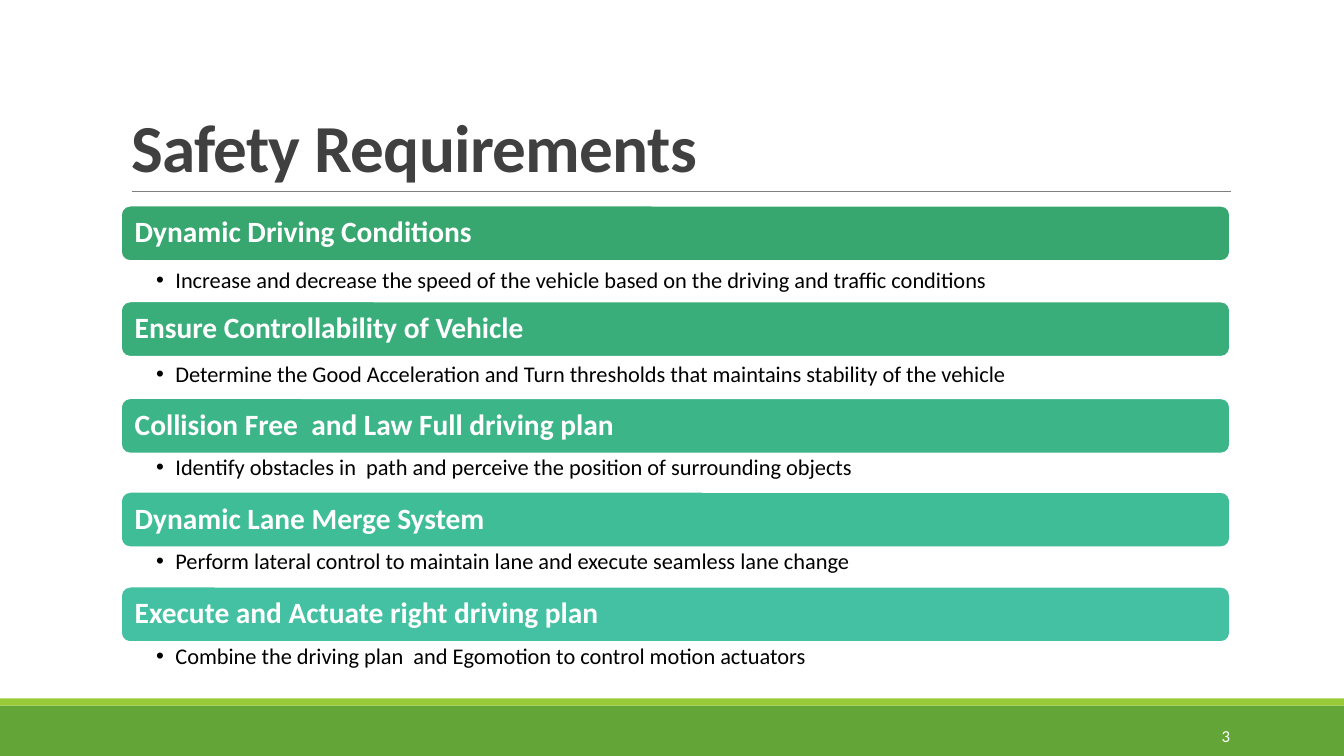
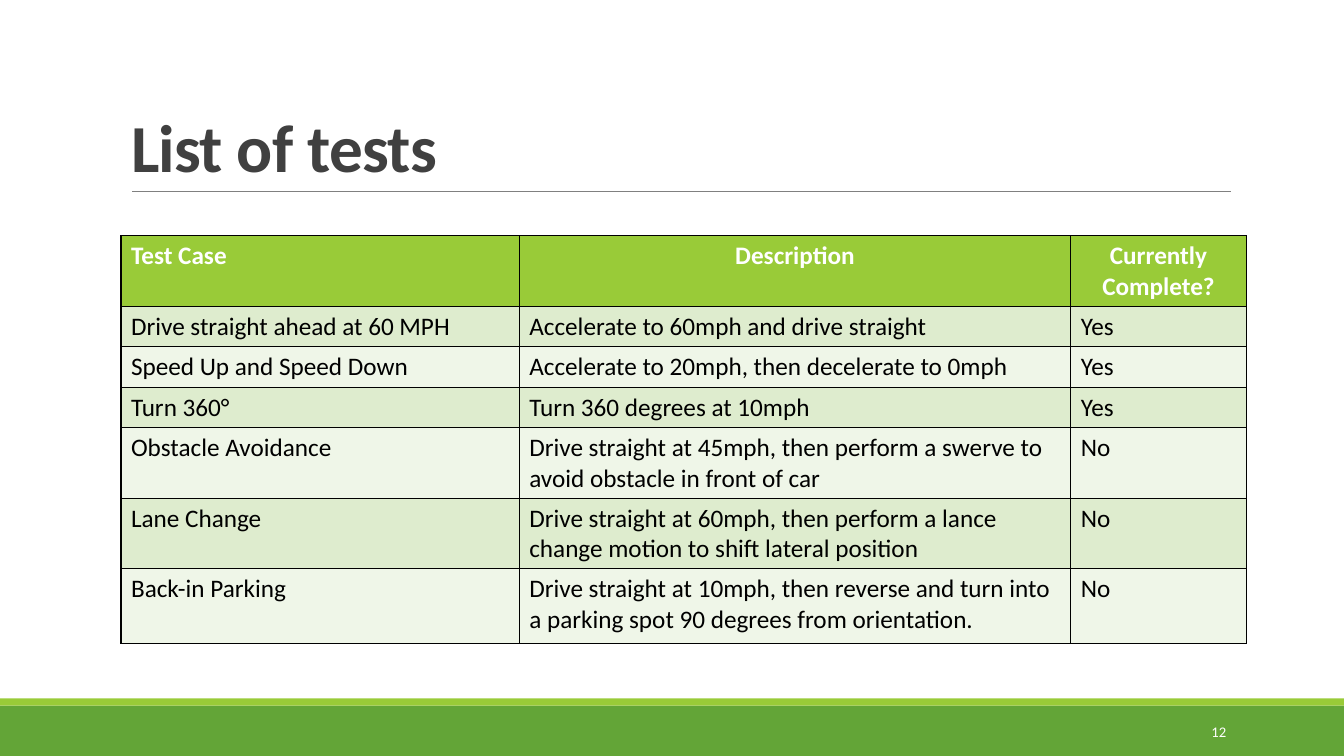
"""Build two slides on vehicle safety requirements and their tests."""
from lxml.etree import SubElement as Sub
from pptx import Presentation
from pptx.dml.color import RGBColor
from pptx.enum.shapes import MSO_CONNECTOR as Conn, MSO_SHAPE as Kind
from pptx.enum.text import MSO_ANCHOR as Anchor, MSO_AUTO_SIZE as Fit, PP_ALIGN as Align
from pptx.oxml import parse_xml
from pptx.oxml.ns import nsdecls, qn
from pptx.util import Inches, Pt

WIDE, HIGH = 13.33, 7.5
LEFT, SPAN = 1.2, 11
BANDS = [(7, 0.5, "63A537"), (6.93, 0.07, "99CB38")]
NEEDS = [
    (2.04, 2.64, "37A76F", "Dynamic Driving Conditions",
     "Increase and decrease the speed of the vehicle based on the driving and traffic conditions"),
    (2.99, 3.57, "39AE7B", "Ensure Controllability of Vehicle",
     "Determine the Good Acceleration and Turn thresholds that maintains stability of the vehicle"),
    (3.95, 4.5, "3CB689", "Collision Free  and Law Full driving plan",
     "Identify obstacles in  path and perceive the position of surrounding objects"),
    (4.88, 5.43, "3EBD96", "Dynamic Lane Merge System",
     "Perform lateral control to maintain lane and execute seamless lane change"),
    (5.82, 6.37, "44C1A3", "Execute and Actuate right driving plan",
     "Combine the driving plan  and Egomotion to control motion actuators"),
]
TESTS = [
    ("Test Case", "Description", "Currently Complete?"),
    ("Drive straight ahead at 60 MPH", "Accelerate to 60mph and drive straight", "Yes"),
    ("Speed Up and Speed Down", "Accelerate to 20mph, then decelerate to 0mph", "Yes"),
    ("Turn 360°", "Turn 360 degrees at 10mph", "Yes"),
    ("Obstacle Avoidance",
     "Drive straight at 45mph, then perform a swerve to avoid obstacle in front of car", "No"),
    ("Lane Change",
     "Drive straight at 60mph, then perform a lance change motion to shift lateral position", "No"),
    ("Back-in Parking",
     "Drive straight at 10mph, then reverse and turn into a parking spot 90 degrees from orientation.",
     "No"),
]
COLS = [3.95, 5.47, 1.74]
ROWS = [0.64, 0.37, 0.37, 0.37, 0.64, 0.64, 0.74]
HEAD, TINTS = "99CB38", ("EFF6E8", "DEECCE")


def paint(part, tone):
    part.solid()
    part.fore_color.rgb = RGBColor.from_string(tone)


def put(thing, **form):
    for name, value in form.items():
        setattr(thing, name, value)


def place(*box):
    return [Inches(n) for n in box]


def write(frame, text, size, tone, bold=False, **form):
    para = frame.paragraphs[0]
    run = para.add_run()
    run.text = text
    put(run.font, name="Calibri", size=Pt(size), bold=bold)
    paint(run.font.fill, tone)
    put(para, **form)


def block(slide, kind, box, tone):
    shape = slide.shapes.add_shape(kind, *place(*box))
    shape.shadow.inherit = False
    paint(shape.fill, tone)
    shape.line.fill.background()
    return shape


def label(slide, box, **form):
    shape = slide.shapes.add_textbox(*place(*box))
    put(shape.text_frame, word_wrap=True, **form)
    return shape


def dress(layout, slide):
    parts = [block(slide, Kind.RECTANGLE, (0, top, WIDE, tall), tone)
             for top, tall, tone in BANDS]
    rule = slide.shapes.add_connector(Conn.STRAIGHT, *place(1.31, 1.9, 12.21, 1.9))
    paint(rule.line.fill, "808080")
    rule.line.width = Pt(0.5)
    Sub(rule.element.spPr, qn("a:effectLst"))
    for part in parts + [rule]:
        layout.shapes.element.append(part.element)


def start(layout, title, page, box, size):
    slide = deck.slides.add_slide(layout)
    head = slide.shapes.title
    write(head.text_frame, title, 48, "404040", True, alignment=Align.LEFT, line_spacing=0.85)
    head.element.xpath(".//a:rPr")[0].set("spc", "-50")
    foot = label(slide, box, vertical_anchor=Anchor.MIDDLE)
    write(foot.text_frame, page, size, "FFFFFF", alignment=Align.RIGHT)
    return slide


def list_needs(slide):
    for top, low, tone, name, note in NEEDS:
        bar = block(slide, Kind.ROUNDED_RECTANGLE, (LEFT, top, SPAN, 0.55), tone)
        paint(bar.line.fill, "FFFFFF")
        bar.line.width = Pt(1.25)
        put(bar.text_frame, margin_left=Inches(0.11), vertical_anchor=Anchor.MIDDLE)
        write(bar.text_frame, name, 21, "FFFFFF", True, alignment=Align.LEFT, line_spacing=0.9)
        text = label(slide, (LEFT, low, SPAN, 0.38), margin_left=Inches(0.35),
                     margin_right=Inches(0.16), margin_top=Inches(0.03),
                     margin_bottom=Inches(0.03))
        write(text.text_frame, note, 16, "000000", line_spacing=0.9)
        props = text.element.xpath(".//a:pPr")[0]
        props.set("marL", str(Inches(0.19)))
        props.set("indent", str(-Inches(0.19)))
        Sub(props, qn("a:buFont")).set("typeface", "Arial")
        Sub(props, qn("a:buChar")).set("char", "•")


def list_tests(slide):
    frame = slide.shapes.add_table(len(ROWS), len(COLS),
                                   *place(LEFT, 2.34, sum(COLS), sum(ROWS)))
    table = frame.table
    for col, wide in zip(table.columns, COLS):
        col.width = Inches(wide)
    for r, (row, tall, texts) in enumerate(zip(table.rows, ROWS, TESTS)):
        row.height = Inches(tall)
        for c, (cell, text) in enumerate(zip(row.cells, texts)):
            top = r == 0
            paint(cell.fill, HEAD if top else TINTS[r % 2])
            write(cell.text_frame, text, 18, "FFFFFF" if top else "000000", top,
                  alignment=Align.CENTER if top and c else Align.LEFT)
    for props in frame.element.iter(qn("a:tcPr")):
        for n, side in enumerate("LRTB"):
            props.insert(n, parse_xml(
                f'<a:ln{side} {nsdecls("a")} w="{Pt(1)}"><a:solidFill>'
                f'<a:srgbClr val="000000"/></a:solidFill></a:ln{side}>'))


deck = Presentation()
put(deck, slide_width=Inches(WIDE), slide_height=Inches(HIGH))
plain = deck.slide_layouts[5]
title, *rest = plain.placeholders
for item in rest:
    plain.shapes.element.remove(item.element)
left, top, width, height = place(LEFT, 0.31, SPAN, 1.59)
put(title, left=left, top=top, width=width, height=height)
put(title.text_frame, vertical_anchor=Anchor.BOTTOM, auto_size=Fit.NONE)

needs = start(plain, "Safety Requirements", "3", (10.87, 7.1, 1.43, 0.4), 12)
dress(plain, needs)
list_needs(needs)
tests = start(plain, "List of tests", "12", (10.83, 7.06, 1.43, 0.4), 10.5)
list_tests(tests)
deck.save("out.pptx")
